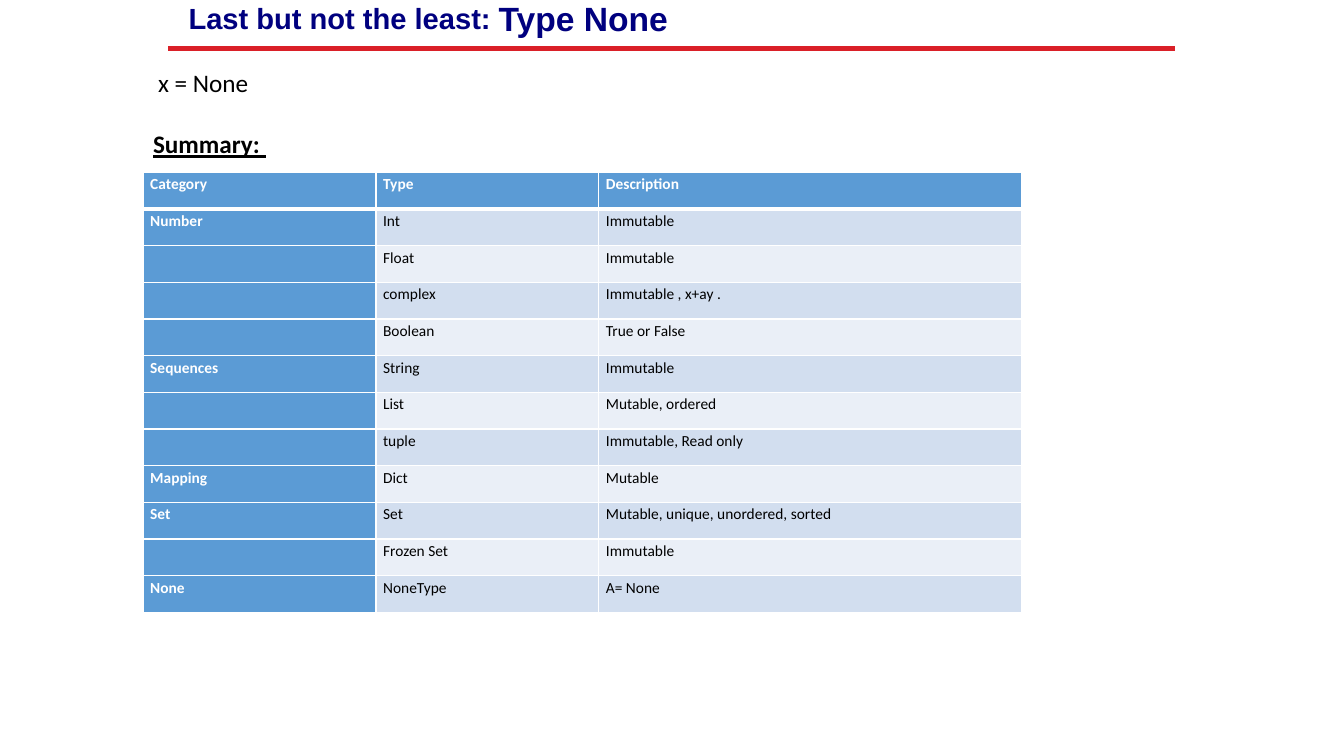
from dataclasses import dataclass

from lxml.etree import SubElement
from pptx import Presentation
from pptx.dml.color import RGBColor
from pptx.enum.shapes import MSO_CONNECTOR
from pptx.enum.text import MSO_ANCHOR, MSO_AUTO_SIZE, PP_ALIGN
from pptx.oxml.ns import qn
from pptx.util import Inches, Pt

COLORS = {
    "title": "00007F",
    "rule": "DA2028",
    "text": "000000",
    "white": "FFFFFF",
    "heading": "5B9BD5",
    "odd_band": "D2DEEF",
    "even_band": "EAEFF7",
}
COLUMN_WIDTHS = (2.31, 2.21, 4.19)
ROW_HEIGHT = 4.37 / 12


@dataclass
class TypeRow:
    category: str
    type_name: str
    description: str


SUMMARY = [
    TypeRow("Category", "Type", "Description"),
    TypeRow("Number", "Int", "Immutable"),
    TypeRow("", "Float", "Immutable"),
    TypeRow("", "complex", "Immutable , x+ay ."),
    TypeRow("", "Boolean", "True or False"),
    TypeRow("Sequences", "String", "Immutable"),
    TypeRow("", "List", "Mutable, ordered"),
    TypeRow("", "tuple", "Immutable, Read only"),
    TypeRow("Mapping", "Dict", "Mutable"),
    TypeRow("Set", "Set", "Mutable, unique, unordered, sorted"),
    TypeRow("", "Frozen Set", "Immutable"),
    TypeRow("None", "NoneType", "A= None"),
]


def color(name: str) -> RGBColor:
    return RGBColor.from_string(COLORS[name])


def add_run(paragraph, text: str, size: float, font: str, color_name: str, bold: bool = False):
    run = paragraph.add_run()
    run.text = text
    run.font.size = Pt(size)
    run.font.name = font
    run.font.bold = bold
    run.font.color.rgb = color(color_name)
    return run


def set_margins(target, side: float, end: float) -> None:
    target.margin_left = target.margin_right = Inches(side)
    target.margin_top = target.margin_bottom = Inches(end)


def add_title(slide) -> None:
    title = slide.shapes.title
    title.left, title.top = Inches(1.85), Inches(0.03)
    title.width, title.height = Inches(5.62), Inches(0.39)
    frame = title.text_frame
    frame.auto_size = MSO_AUTO_SIZE.NONE
    frame.vertical_anchor = MSO_ANCHOR.TOP
    set_margins(frame, 0, 0)
    heading = frame.paragraphs[0]
    heading.alignment = PP_ALIGN.LEFT
    heading.line_spacing = Pt(27.7)
    heading.space_before = Pt(1.4)
    properties = heading._p.get_or_add_pPr()
    properties.set("marL", str(Inches(0.02)))
    properties.set("indent", "0")
    lead = add_run(heading, "Last but not the least: ", 35.8, "Arial", "title", True)
    lead.font._element.set("baseline", "4000")
    add_run(heading, "Type None", 24, "Arial", "title", True)


def add_title_rule(slide) -> None:
    rule = slide.shapes.add_connector(
        MSO_CONNECTOR.STRAIGHT, Inches(1.67), Inches(0.48), Inches(11.65), Inches(0.48)
    )
    rule.line.color.rgb = color("rule")
    rule.line.width = Pt(3.7)
    SubElement(rule._element.spPr, qn("a:effectLst"))


def add_example(slide) -> None:
    frame = slide.shapes.add_textbox(
        Inches(1.42), Inches(0.62), Inches(9.76), Inches(1.01)
    ).text_frame
    frame.word_wrap = True
    frame.auto_size = MSO_AUTO_SIZE.SHAPE_TO_FIT_TEXT
    assignment = frame.paragraphs[0]
    assignment._p.get_or_add_pPr().set("marL", str(Inches(0.05)))
    add_run(assignment, "x = None", 18, "Calibri", "text")
    summary = frame.add_paragraph()
    summary.space_before = Pt(22)
    add_run(summary, "Summary: ", 18, "Calibri", "text", True).font.underline = True


def add_borders(cell, bottom_width: float) -> None:
    """Give the cell white borders; must run before its fill is set."""
    for side in ("L", "R", "T", "B"):
        width = bottom_width if side == "B" else 1
        border = SubElement(cell._tc.get_or_add_tcPr(), qn(f"a:ln{side}"), w=str(Pt(width)))
        fill = SubElement(border, qn("a:solidFill"))
        SubElement(fill, qn("a:srgbClr"), val=COLORS["white"])


def format_cell(cell, text: str, row: int, column: int) -> None:
    is_heading = row == 0 or column == 0
    band = "odd_band" if row % 2 else "even_band"
    set_margins(cell, 0.07, 0)
    add_borders(cell, 3 if row == 0 else 1)
    cell.fill.solid()
    cell.fill.fore_color.rgb = color("heading" if is_heading else band)
    if text:
        entry = cell.text_frame.paragraphs[0]
        entry.line_spacing = 1.15
        add_run(entry, text, 11, "Calibri", "white" if is_heading else "text", is_heading)


def add_summary_table(slide) -> None:
    table = slide.shapes.add_table(
        len(SUMMARY), len(COLUMN_WIDTHS), Inches(1.42), Inches(1.71),
        Inches(sum(COLUMN_WIDTHS)), Inches(ROW_HEIGHT * len(SUMMARY)),
    ).table
    table.first_col = True
    for column, width in zip(table.columns, COLUMN_WIDTHS):
        column.width = Inches(width)
    for row, entry in enumerate(SUMMARY):
        table.rows[row].height = Inches(ROW_HEIGHT)
        for column, text in enumerate((entry.category, entry.type_name, entry.description)):
            format_cell(table.cell(row, column), text, row, column)


def main() -> None:
    presentation = Presentation()
    presentation.slide_width = Inches(13.33)
    presentation.slide_height = Inches(7.5)
    slide = presentation.slides.add_slide(presentation.slide_layouts[5])
    add_title(slide)
    add_title_rule(slide)
    add_example(slide)
    add_summary_table(slide)
    presentation.save("out.pptx")


if __name__ == "__main__":
    main()
